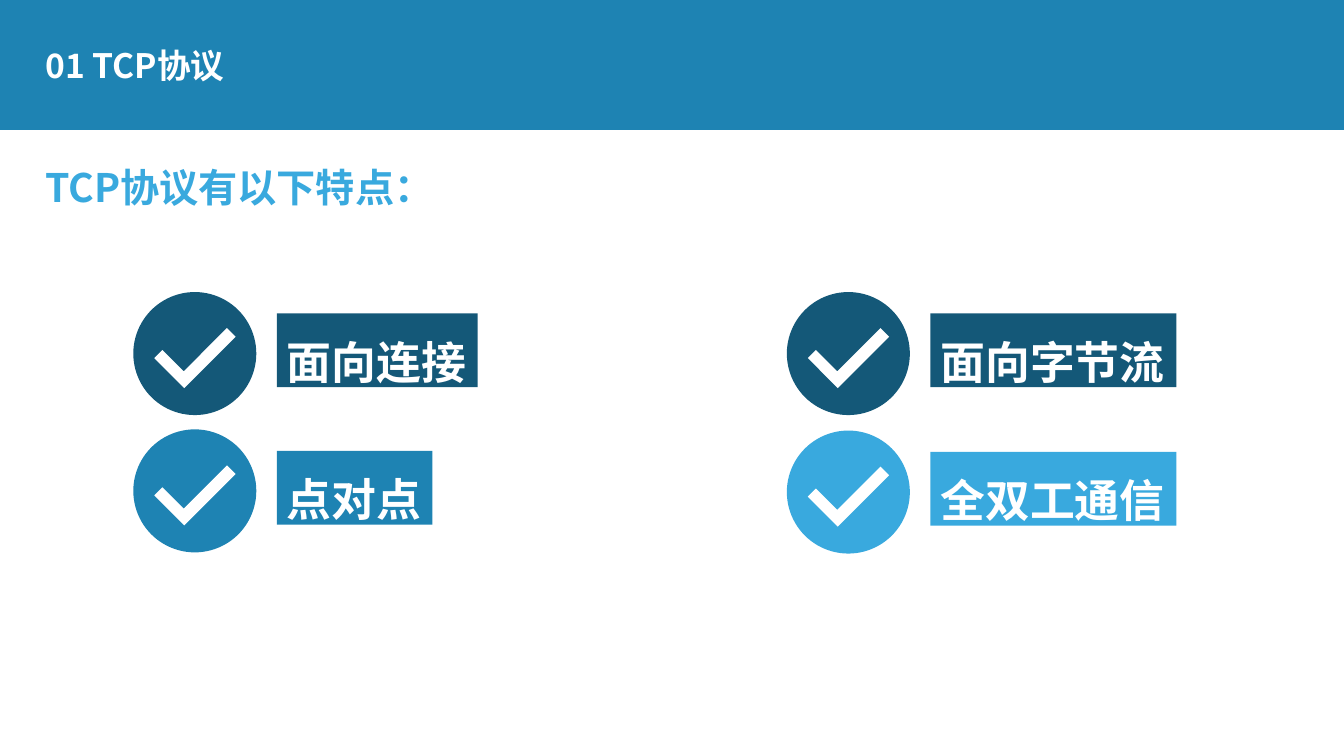
from dataclasses import dataclass

from lxml import etree
from pptx import Presentation
from pptx.dml.color import RGBColor
from pptx.enum.shapes import MSO_SHAPE
from pptx.enum.text import MSO_ANCHOR, MSO_AUTO_SIZE, PP_ALIGN
from pptx.oxml.ns import qn
from pptx.shapes.autoshape import Shape
from pptx.slide import Slide
from pptx.text.text import TextFrame
from pptx.util import Cm, Pt

ELLIPSE, CORNER, RECTANGLE = MSO_SHAPE.OVAL, MSO_SHAPE.CORNER, MSO_SHAPE.RECTANGLE
TOP, MIDDLE = MSO_ANCHOR.TOP, MSO_ANCHOR.MIDDLE
FIT_SHAPE, NO_FIT = MSO_AUTO_SIZE.SHAPE_TO_FIT_TEXT, MSO_AUTO_SIZE.NONE
LEFT = PP_ALIGN.LEFT

FONT = "Noto Sans CJK SC"
COLOURS = {"white": "FFFFFF", "blue": "1E83B3", "dark": "145878", "light": "39A9DE"}

SLIDE_WIDTH, SLIDE_HEIGHT = 33.87, 19.05
BANNER_HEIGHT = 3.28
MARGIN = 0.89
COLUMN_LEFT, COLUMN_STEP = 3.36, 16.47
DISC_SIZE = 3.1
LABEL_PADDING, CHARACTER_WIDTH = 0.5, 1.14


@dataclass(frozen=True)
class Feature:
    text: str
    column: int
    top: float
    colour: str


FEATURES = [
    Feature("点对点", 0, 10.82, "blue"),
    Feature("面向连接", 0, 7.36, "dark"),
    Feature("全双工通信", 1, 10.85, "light"),
    Feature("面向字节流", 1, 7.36, "dark"),
]


def rgb(colour: str) -> RGBColor:
    return RGBColor.from_string(COLOURS[colour])


def write(frame: TextFrame, text: str, *, size: float, colour: str = "white",
          line_spacing: float = 1.3, anchor: MSO_ANCHOR = TOP,
          wrap: bool = False, fit: MSO_AUTO_SIZE = FIT_SHAPE) -> None:
    frame.word_wrap = wrap
    frame.auto_size = fit
    frame.vertical_anchor = anchor
    paragraph = frame.paragraphs[0]
    paragraph.alignment = LEFT
    paragraph.line_spacing = line_spacing
    paragraph.space_before = Pt(0)
    run = paragraph.add_run()
    run.text = text
    run.font.size = Pt(size)
    run.font.bold = True
    run.font.color.rgb = rgb(colour)
    run.font.name = FONT
    east_asian = etree.SubElement(run.font._element, qn("a:ea"))
    east_asian.set("typeface", FONT)


def add_filled(shapes, kind: MSO_SHAPE, left: float, top: float,
               width: float, height: float, colour: str) -> Shape:
    """Add a borderless preset shape; lengths are in centimetres."""
    shape = shapes.add_shape(kind, Cm(left), Cm(top), Cm(width), Cm(height))
    shape.shadow.inherit = False
    shape.fill.solid()
    shape.fill.fore_color.rgb = rgb(colour)
    shape.line.fill.background()
    return shape


def add_feature(slide: Slide, feature: Feature) -> None:
    left = COLUMN_LEFT + feature.column * COLUMN_STEP
    badge = slide.shapes.add_group_shape().shapes
    add_filled(badge, ELLIPSE, left, feature.top, DISC_SIZE, DISC_SIZE, feature.colour)
    tick = add_filled(badge, CORNER, left + 0.64, feature.top + 0.86, 1.83, 1.07, "white")
    tick.adjustments[0] = 0.29
    tick.adjustments[1] = 0.27
    tick.rotation = 315

    label_width = LABEL_PADDING + CHARACTER_WIDTH * len(feature.text)
    label = add_filled(slide.shapes, RECTANGLE, left + 3.62, feature.top + 0.54,
                       label_width, 1.86, feature.colour)
    write(label.text_frame, feature.text, size=32)


def main() -> None:
    presentation = Presentation()
    presentation.slide_width = Cm(SLIDE_WIDTH)
    presentation.slide_height = Cm(SLIDE_HEIGHT)
    slide = presentation.slides.add_slide(presentation.slide_layouts[5])
    slide.background.fill.solid()
    slide.background.fill.fore_color.rgb = rgb("blue")
    add_filled(slide.shapes, RECTANGLE, 0, BANNER_HEIGHT,
               SLIDE_WIDTH, SLIDE_HEIGHT - BANNER_HEIGHT, "white")

    title = slide.shapes.title
    title.left, title.top, title.width, title.height = Cm(MARGIN), Cm(0.71), Cm(14.73), Cm(2.01)
    write(title.text_frame, "01 TCP协议", size=24, line_spacing=0.9,
          anchor=MIDDLE, wrap=True, fit=NO_FIT)

    subtitle = slide.shapes.add_textbox(Cm(MARGIN), Cm(3.63), Cm(10.41), Cm(1.65))
    write(subtitle.text_frame, "TCP协议有以下特点：", size=28, colour="light")

    for feature in FEATURES:
        add_feature(slide, feature)
    presentation.save("out.pptx")


if __name__ == "__main__":
    main()
